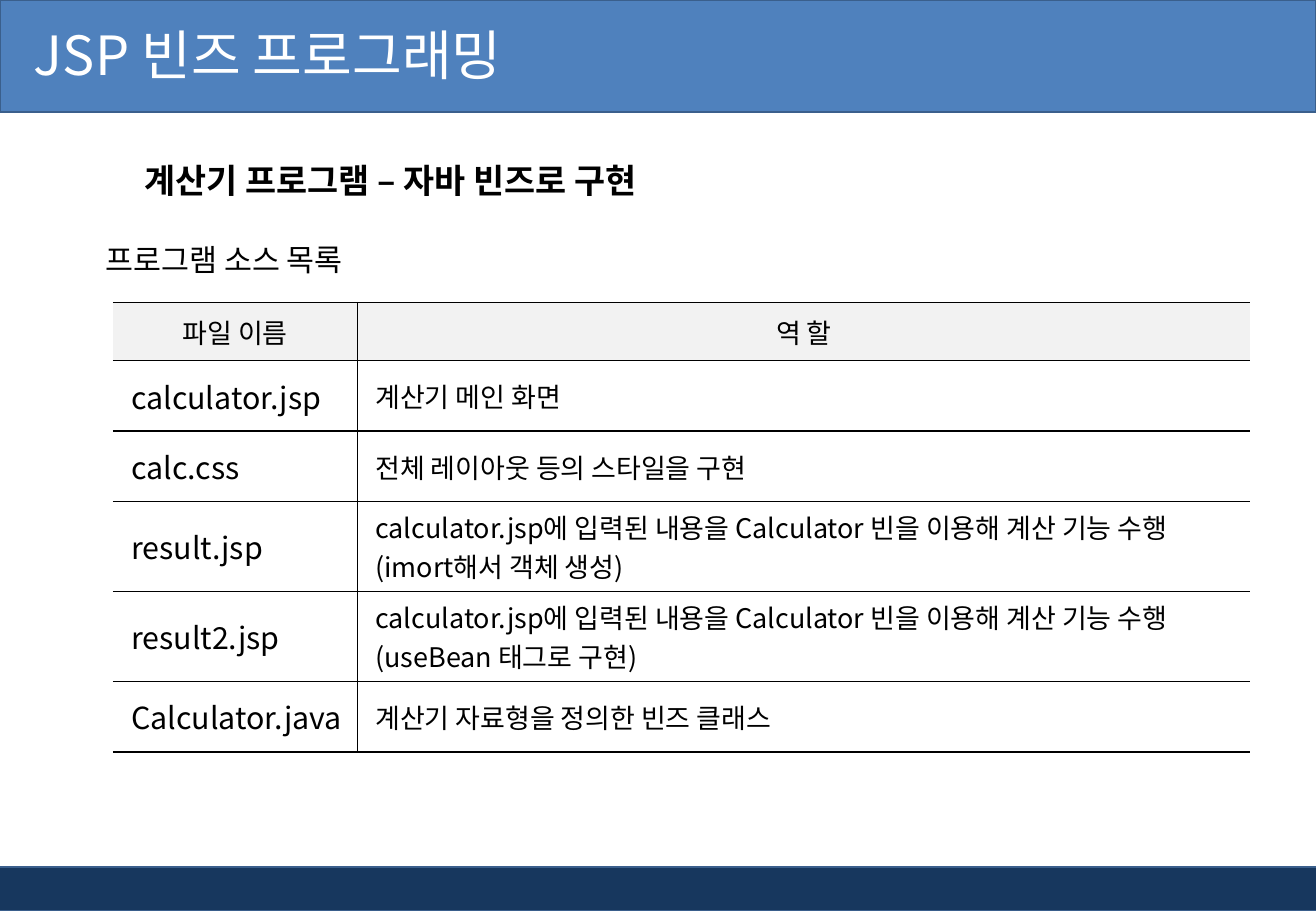
from pptx import Presentation
from pptx import util as u
from pptx.dml.color import RGBColor
from pptx.enum import shapes, text
from pptx.oxml.ns import qn
from lxml import etree

FONT = "Noto Sans CJK KR"
COLORS = {
    "header": "4F81BD",
    "footer": "17375E",
    "outline": "3A5F8C",
    "heading": "F2F2F2",
    "ink": "000000",
    "title": "FFFFFF",
}


def format_text(paragraph, size, color="ink", bold=False):
    for run in paragraph.runs:
        run.font.name = FONT
        run.font.size = u.Pt(size)
        run.font.bold = bold
        run.font.color.rgb = RGBColor.from_string(COLORS[color])
        east_asian = etree.SubElement(run.font._element, qn("a:ea"))
        east_asian.set("typeface", FONT)


def add_border(cell, side):
    line = etree.SubElement(cell._tc.get_or_add_tcPr(), qn("a:ln" + side), w="12700")
    fill = etree.SubElement(line, qn("a:solidFill"))
    etree.SubElement(fill, qn("a:srgbClr"), val=COLORS["ink"])


presentation = Presentation()
presentation.slide_width = u.Inches(10.83)
presentation.slide_height = u.Inches(7.5)
slide = presentation.slides.add_slide(presentation.slide_layouts[6])

bars = [
    ("footer", -0.04, 7.14, 10.88, 0.36),
    ("header", 0, 0, 10.83, 0.92),
]
for color, *box in bars:
    bar = slide.shapes.add_shape(shapes.MSO_SHAPE.RECTANGLE, *map(u.Inches, box))
    bar.shadow.inherit = False
    bar.fill.solid()
    bar.fill.fore_color.rgb = RGBColor.from_string(COLORS[color])
    bar.line.color.rgb = RGBColor.from_string(COLORS["outline"])
    bar.line.width = u.Pt(1)

labels = [
    ("JSP 빈즈 프로그래밍", (0, -0.03, 8.74, 0.94), 32, "title", False, 0.28, 1),
    ("프로그램 소스 목록", (0.77, 1.94, 3.39, 0.4), 18, "ink", False, 0.1, 1),
    ("계산기 프로그램 – 자바 빈즈로 구현", (1.09, 1.1, 6.06, 0.61), 20, "ink", True, 0.1, 1.5),
]
for words, box, size, color, bold, margin, spacing in labels:
    label = slide.shapes.add_textbox(*map(u.Inches, box))
    frame = label.text_frame
    frame.word_wrap = True
    frame.margin_left = u.Inches(margin)
    frame.vertical_anchor = text.MSO_ANCHOR.MIDDLE if color == "title" else text.MSO_ANCHOR.TOP
    frame.text = words
    frame.paragraphs[0].line_spacing = spacing
    format_text(frame.paragraphs[0], size, color, bold)

files = [
    ("파일 이름", "역 할"),
    ("calculator.jsp", "계산기 메인 화면"),
    ("calc.css", "전체 레이아웃 등의 스타일을 구현"),
    ("result.jsp", "calculator.jsp에 입력된 내용을 Calculator 빈을 이용해 계산 기능 수행\n(imort해서 객체 생성)"),
    ("result2.jsp", "calculator.jsp에 입력된 내용을 Calculator 빈을 이용해 계산 기능 수행\n(useBean 태그로 구현)"),
    ("Calculator.java", "계산기 자료형을 정의한 빈즈 클래스"),
]
row_heights = [0.48, 0.58, 0.58, 0.74, 0.74, 0.58]
table = slide.shapes.add_table(
    len(files), 2, u.Inches(0.93), u.Inches(2.49), u.Inches(9.36), u.Inches(3.7)
).table
table._tbl.tblPr.find(qn("a:tableStyleId")).text = "{2D5ABB26-0587-4C30-8999-92F81FD0307C}"
table.horz_banding = False
for column, width in zip(table.columns, (2.01, 7.35)):
    column.width = u.Inches(width)

for row, (names, height) in enumerate(zip(files, row_heights)):
    table.rows[row].height = u.Inches(height)
    for column, words in enumerate(names):
        cell = table.cell(row, column)
        cell.text_frame.text = words
        cell.vertical_anchor = text.MSO_ANCHOR.MIDDLE
        if row > 0:
            cell.margin_left = u.Inches(0.15)
            cell.margin_right = u.Inches(0.05)
        for side in ("RTB", "LTB")[column]:
            add_border(cell, side)
        if row == 0:
            cell.fill.solid()
            cell.fill.fore_color.rgb = RGBColor.from_string(COLORS["heading"])
        else:
            cell.fill.background()
        for paragraph in cell.text_frame.paragraphs:
            paragraph.alignment = text.PP_ALIGN.CENTER if row == 0 else text.PP_ALIGN.LEFT
            format_text(paragraph, 18 if row > 0 and column == 0 else 16)

presentation.save("out.pptx")
